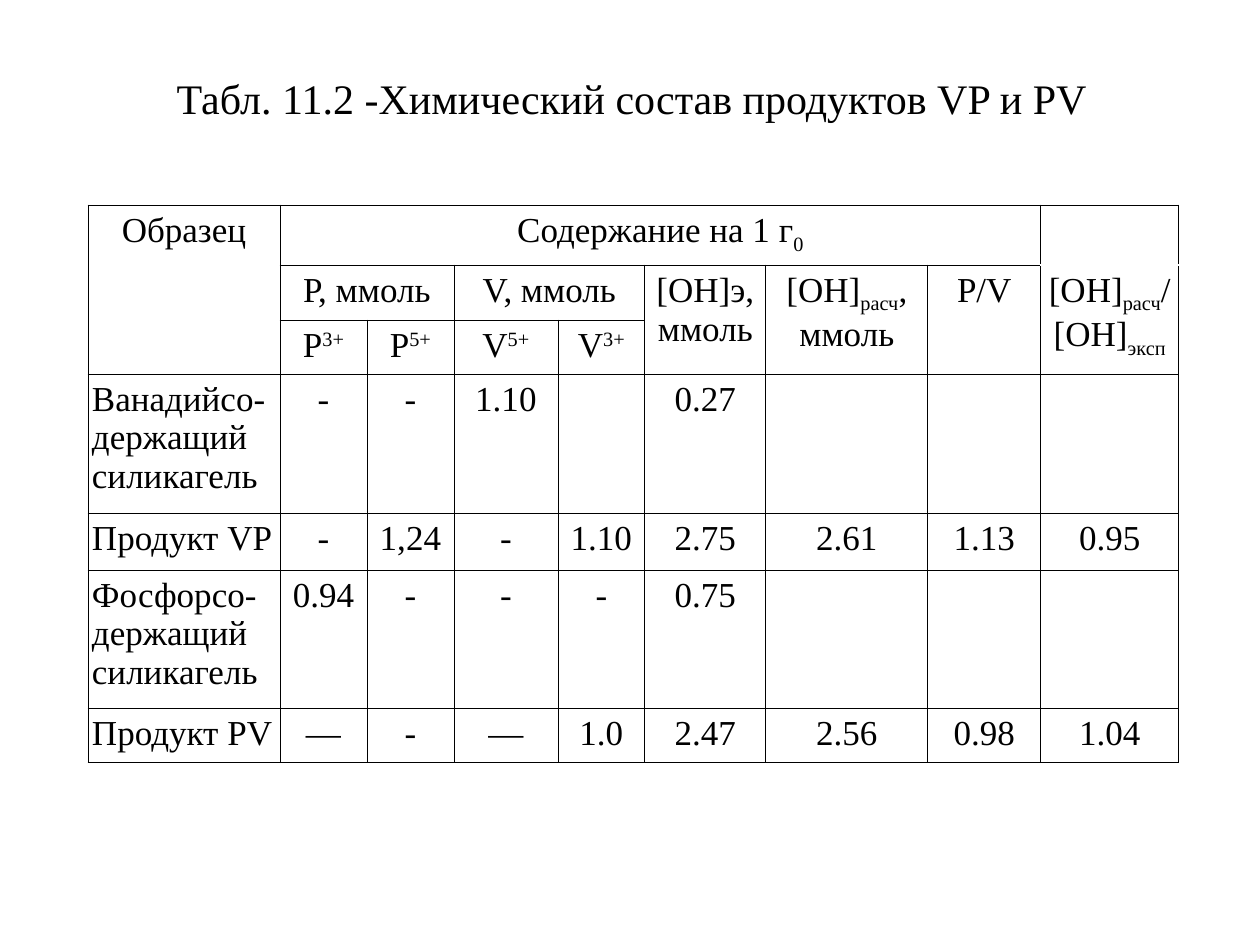
from lxml import etree
from pptx import Presentation
from pptx import util as u
from pptx.dml.color import RGBColor
from pptx.enum import text
from pptx.oxml import ns

BLACK = RGBColor(0x00, 0x00, 0x00)
FONT = "Times New Roman"
PX = 914400 // 126
LEFT, MID = text.PP_ALIGN.LEFT, text.PP_ALIGN.CENTER
SHIFT = {"_": "-25000", "^": "30000"}  # marks for sub- and superscript

# Table content: "|" parts runs, a newline parts paragraphs
COLS = [192, 87, 87, 104, 87, 121, 162, 113, 138]
ROWS = [60, 55, 54, 139, 57, 138, 55]
SPANS = [(0, 0, 2, 0), (0, 1, 0, 7), (1, 1, 1, 2), (1, 3, 1, 4),
         (1, 5, 2, 5), (1, 6, 2, 6), (1, 7, 2, 7), (1, 8, 2, 8)]
HEAD = {
    (0, 0): "Образец",
    (0, 1): "Содержание на 1 г|_0",
    (1, 1): "Р, ммоль",
    (1, 3): "V, ммоль",
    (1, 5): "[OH]э, ммоль",
    (1, 6): "[OH]|_pасч|, ммоль",
    (1, 7): "P/V",
    (1, 8): "[OH]|_pасч|/\n[OH]|_эксп",
    (2, 1): "P|^3+",
    (2, 2): "P|^5+",
    (2, 3): "V|^5+",
    (2, 4): "V|^3+",
}
BODY = [
    ["Ванадийсо-держащий силикагель", "-", "-", "1.10", "", "0.27", "", "", ""],
    ["Продукт VP", "-", "1,24", "-", "1.10", "2.75", "2.61", "1.13", "0.95"],
    ["Фосфорсо-держащий силикагель", "0.94", "-", "-", "-", "0.75", "", "", ""],
    ["Продукт PV", "—", "-", "—", "1.0", "2.47", "2.56", "0.98", "1.04"],
]


def write(frame, words, size=20, align=MID, color=BLACK):
    for n, line in enumerate(words.split("\n")):
        para = frame.add_paragraph() if n else frame.paragraphs[0]
        para.alignment = align
        for part in line.split("|"):
            mark = SHIFT.get(part[:1])
            run = para.add_run()
            run.text = part[1:] if mark else part
            run.font.size, run.font.name = u.Pt(size), FONT
            run.font.color.rgb = color
            if mark:
                run._r.get_or_add_rPr().set("baseline", mark)


class Deck:
    def __init__(self, wide, high):
        self.prs = Presentation()
        self.prs.slide_width, self.prs.slide_height = wide * PX, high * PX
        self.slide = self.prs.slides.add_slide(self.prs.slide_layouts[5])

    def title(self, words, x, y, w, h):
        box = self.slide.shapes.title
        box.left, box.top, box.width, box.height = (v * PX for v in (x, y, w, h))
        frame = box.text_frame
        frame.word_wrap = False
        frame.auto_size = text.MSO_AUTO_SIZE.SHAPE_TO_FIT_TEXT
        frame.vertical_anchor = text.MSO_ANCHOR.TOP
        write(frame, words, size=24, align=LEFT)

    def border(self, cell, sides):
        props = cell._tc.get_or_add_tcPr()
        for n, side in enumerate(sides):
            line = etree.Element(ns.qn("a:ln" + side), w=str(u.Pt(0.45)))
            fill = etree.SubElement(line, ns.qn("a:solidFill"))
            etree.SubElement(fill, ns.qn("a:srgbClr"), val=str(BLACK))
            props.insert(n, line)

    def table(self, x, y, cols, rows):
        grid = self.slide.shapes.add_table(
            len(rows), len(cols), x * PX, y * PX,
            sum(cols) * PX, sum(rows) * PX).table
        grid.first_row = grid.horz_banding = False
        for col, w in zip(grid.columns, cols):
            col.width = w * PX
        for row, h in zip(grid.rows, rows):
            row.height = h * PX
        for cell in grid.iter_cells():
            cell.fill.background()
            cell.margin_left = cell.margin_right = 4 * PX
            cell.margin_top = cell.margin_bottom = 6 * PX
        return grid


def main():
    deck = Deck(1260, 945)
    deck.title("Табл. 11.2 -Химический состав продуктов VP и РV", 164, 66, 940, 63)
    grid = deck.table(88, 205, COLS, ROWS)

    # Header
    for top, left, low, right in SPANS:
        grid.cell(top, left).merge(grid.cell(low, right))
    for (r, c), words in HEAD.items():
        write(grid.cell(r, c).text_frame, words)

    # Samples
    for r, row in enumerate(BODY, 3):
        for c, words in enumerate(row):
            if words:
                write(grid.cell(r, c).text_frame, words, align=MID if c else LEFT)

    # Borders: the last header column stays open between its two cells
    gaps = {(0, 8): "LRT", (1, 8): "LRB"}
    for r in range(len(ROWS)):
        for c in range(len(COLS)):
            deck.border(grid.cell(r, c), gaps.get((r, c), "LRTB"))

    deck.prs.save("out.pptx")


if __name__ == "__main__":
    main()
